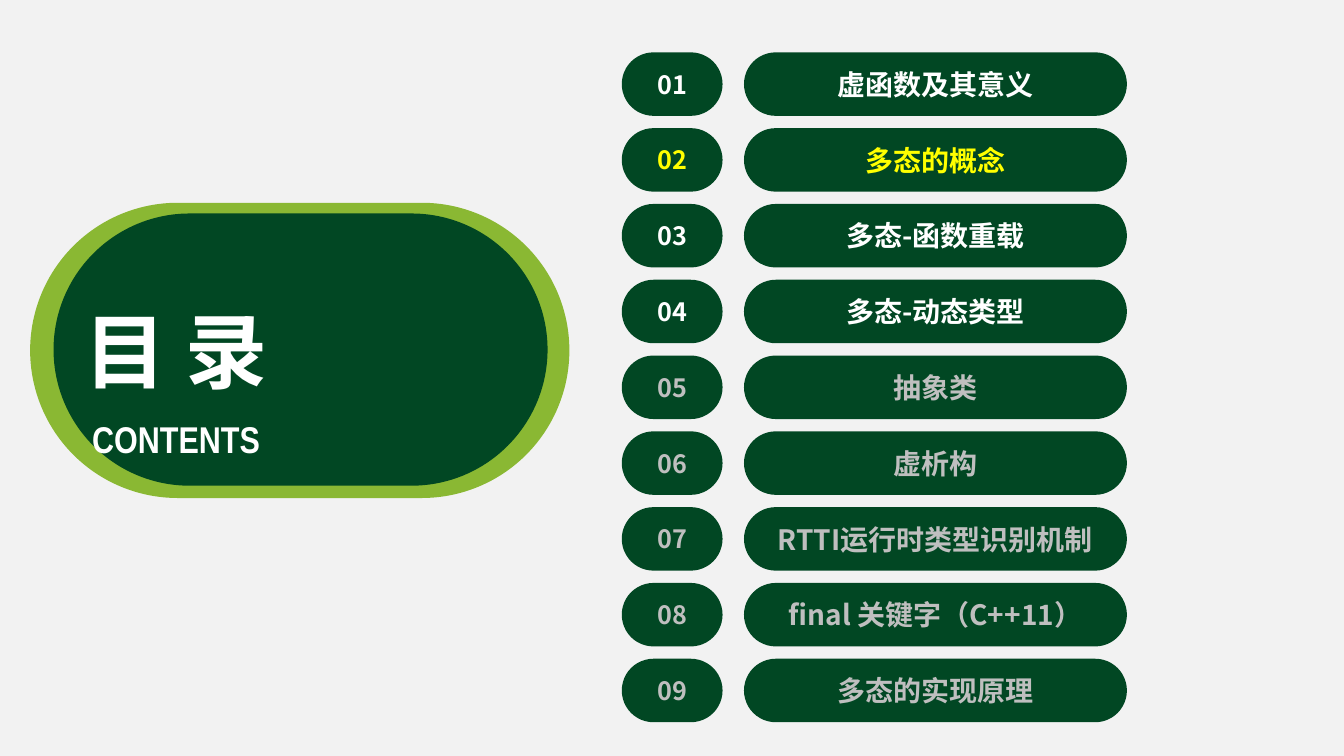
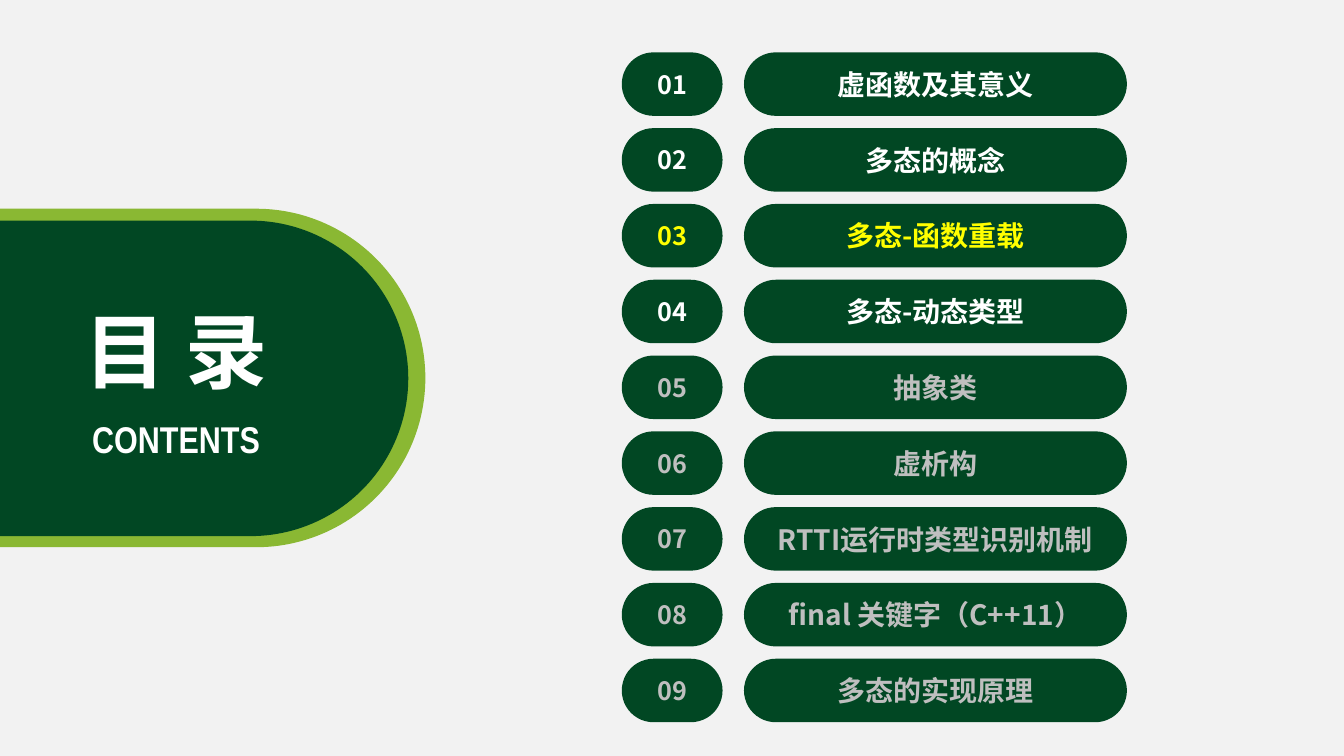
from typing import NamedTuple

from pptx import Presentation
from pptx.dml.color import RGBColor
from pptx.enum.shapes import MSO_SHAPE
from pptx.enum.text import MSO_ANCHOR, MSO_AUTO_SIZE, PP_ALIGN
from pptx.oxml import parse_xml
from pptx.oxml.ns import nsdecls
from pptx.util import Cm, Pt

PILL = MSO_SHAPE.ROUNDED_RECTANGLE
CENTER = PP_ALIGN.CENTER
MIDDLE = MSO_ANCHOR.MIDDLE
TOP = MSO_ANCHOR.TOP
GROW = MSO_AUTO_SIZE.SHAPE_TO_FIT_TEXT

PAGE = "F2F2F2"
DARK_GREEN = "014723"
LIME = "8AB833"
WHITE = "FFFFFF"
YELLOW = "FFFF00"
GREY = "BFBFBF"

CHINESE_FONT = "Noto Sans CJK SC"
NARROW_FONT = "Arial Narrow"
TITLE_ONLY = 5

TOPICS = (
    "虚函数及其意义",
    "多态的概念",
    "多态-函数重载",
    "多态-动态类型",
    "抽象类",
    "虚析构",
    "RTTI运行时类型识别机制",
    "final 关键字（C++11）",
    "多态的实现原理",
)
OPEN_TOPICS = 4  # later topics are greyed out

ROW_TOP, ROW_PITCH, ROW_HEIGHT = 1.32, 1.91, 1.6


class Box(NamedTuple):
    """Left, top, width and height in centimetres."""
    left: float
    top: float
    width: float
    height: float


class TextStyle(NamedTuple):
    size: float
    color: str
    font: str = CHINESE_FONT


class Agenda(NamedTuple):
    current: int
    badge_rim: Box
    badge_face: Box


TITLE_BOX = Box(1.78, 7.44, 5.31, 2.77)
SUBTITLE_BOX = Box(1.57, 10.36, 5.74, 1.4)

AGENDAS = (
    Agenda(2, Box(0.76, 5.11, 13.59, 7.44), Box(1.35, 5.38, 12.45, 6.86)),
    Agenda(3, Box(-4.98, 5.26, 15.7, 8.53), Box(-4.32, 5.56, 14.61, 7.95)),
)


def rgb(color: str) -> RGBColor:
    return RGBColor.from_string(color)


def lengths(box: Box) -> list:
    return [Cm(value) for value in box]


def write(shape, text: str, style: TextStyle) -> None:
    """Put one centred bold line into the shape."""
    shape.text_frame.text = text
    paragraph = shape.text_frame.paragraphs[0]
    paragraph.alignment = CENTER
    run = paragraph.runs[0]
    run.font.size = Pt(style.size)
    run.font.bold = True
    run.font.name = style.font
    run.font.color.rgb = rgb(style.color)
    run.font._element.append(
        parse_xml(f'<a:ea {nsdecls("a")} typeface="{style.font}"/>'))


def fit_to_text(shape) -> None:
    frame = shape.text_frame
    frame.word_wrap = False
    frame.auto_size = GROW
    frame.vertical_anchor = TOP


def add_pill(slide, box: Box, color: str):
    pill = slide.shapes.add_shape(PILL, *lengths(box))
    pill.adjustments[0] = 0.5
    pill.shadow.inherit = False
    pill.fill.solid()
    pill.fill.fore_color.rgb = rgb(color)
    pill.line.fill.background()
    pill.text_frame.vertical_anchor = MIDDLE
    return pill


def topic_color(number: int, current: int) -> str:
    if number == current:
        return YELLOW
    return WHITE if number <= OPEN_TOPICS else GREY


def add_heading(slide, agenda: Agenda) -> None:
    """Draw the badge with the title and subtitle in front of it."""
    title = slide.shapes.title
    for box, color in ((agenda.badge_rim, LIME), (agenda.badge_face, DARK_GREEN)):
        title.element.addprevious(add_pill(slide, box, color).element)
    title.left, title.top, title.width, title.height = lengths(TITLE_BOX)
    fit_to_text(title)
    write(title, "目 录", TextStyle(58.6, WHITE))

    subtitle = slide.shapes.add_textbox(*lengths(SUBTITLE_BOX))
    fit_to_text(subtitle)
    write(subtitle, "CONTENTS", TextStyle(26.6, WHITE, NARROW_FONT))


def add_topics(slide, current: int) -> None:
    for number, topic in enumerate(TOPICS, start=1):
        top = ROW_TOP + (number - 1) * ROW_PITCH
        color = topic_color(number, current)
        number_pill = add_pill(slide, Box(15.67, top, 2.54, ROW_HEIGHT), DARK_GREEN)
        write(number_pill, f"{number:02d}", TextStyle(18, color))
        topic_pill = add_pill(slide, Box(18.75, top, 9.65, ROW_HEIGHT), DARK_GREEN)
        write(topic_pill, topic, TextStyle(20, color))


def main() -> None:
    deck = Presentation()
    deck.slide_width, deck.slide_height = Cm(33.87), Cm(19.05)
    page_fill = deck.slide_master.background.fill
    page_fill.solid()
    page_fill.fore_color.rgb = rgb(PAGE)

    for agenda in AGENDAS:
        slide = deck.slides.add_slide(deck.slide_layouts[TITLE_ONLY])
        add_heading(slide, agenda)
        add_topics(slide, agenda.current)
    deck.save("out.pptx")


if __name__ == "__main__":
    main()
